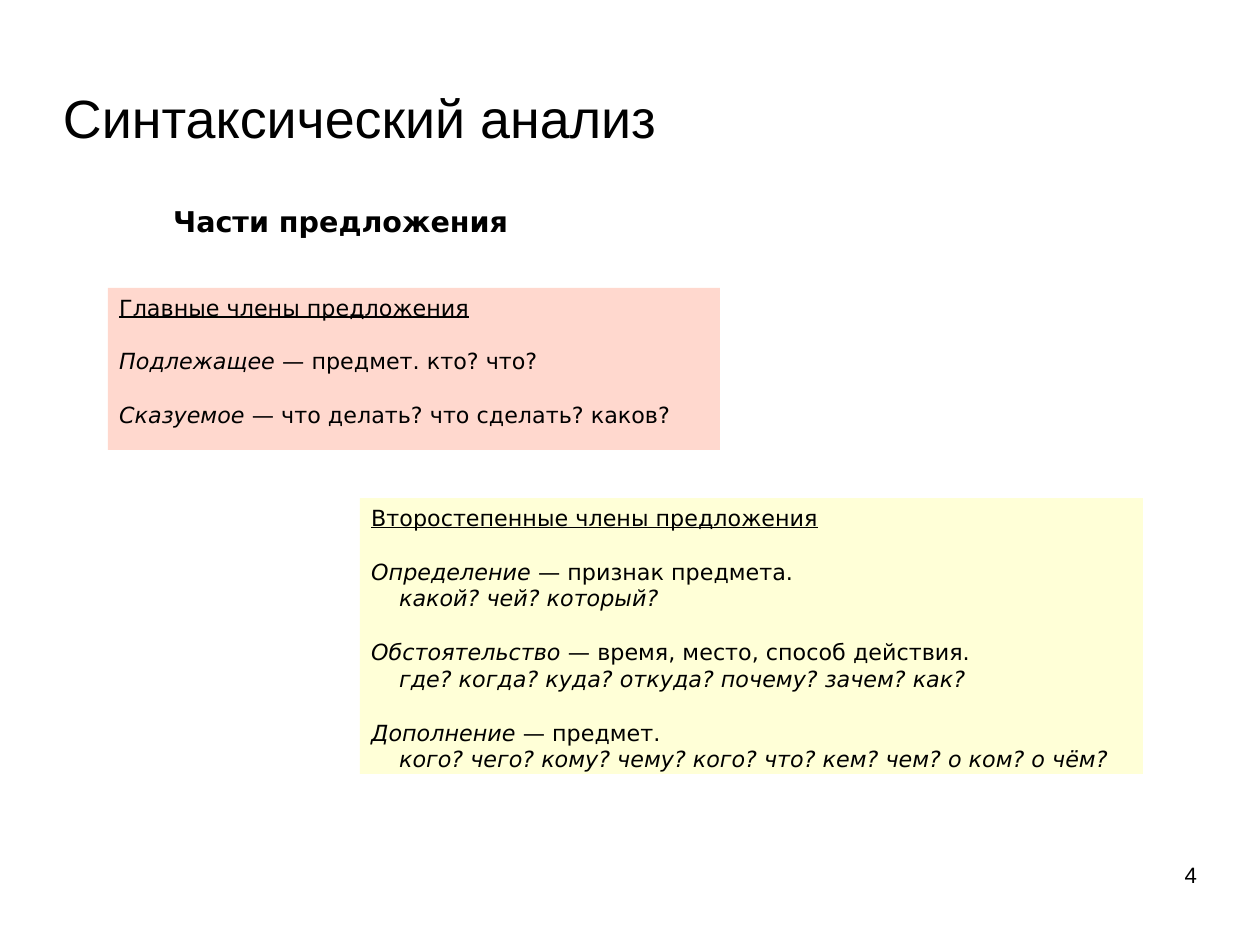
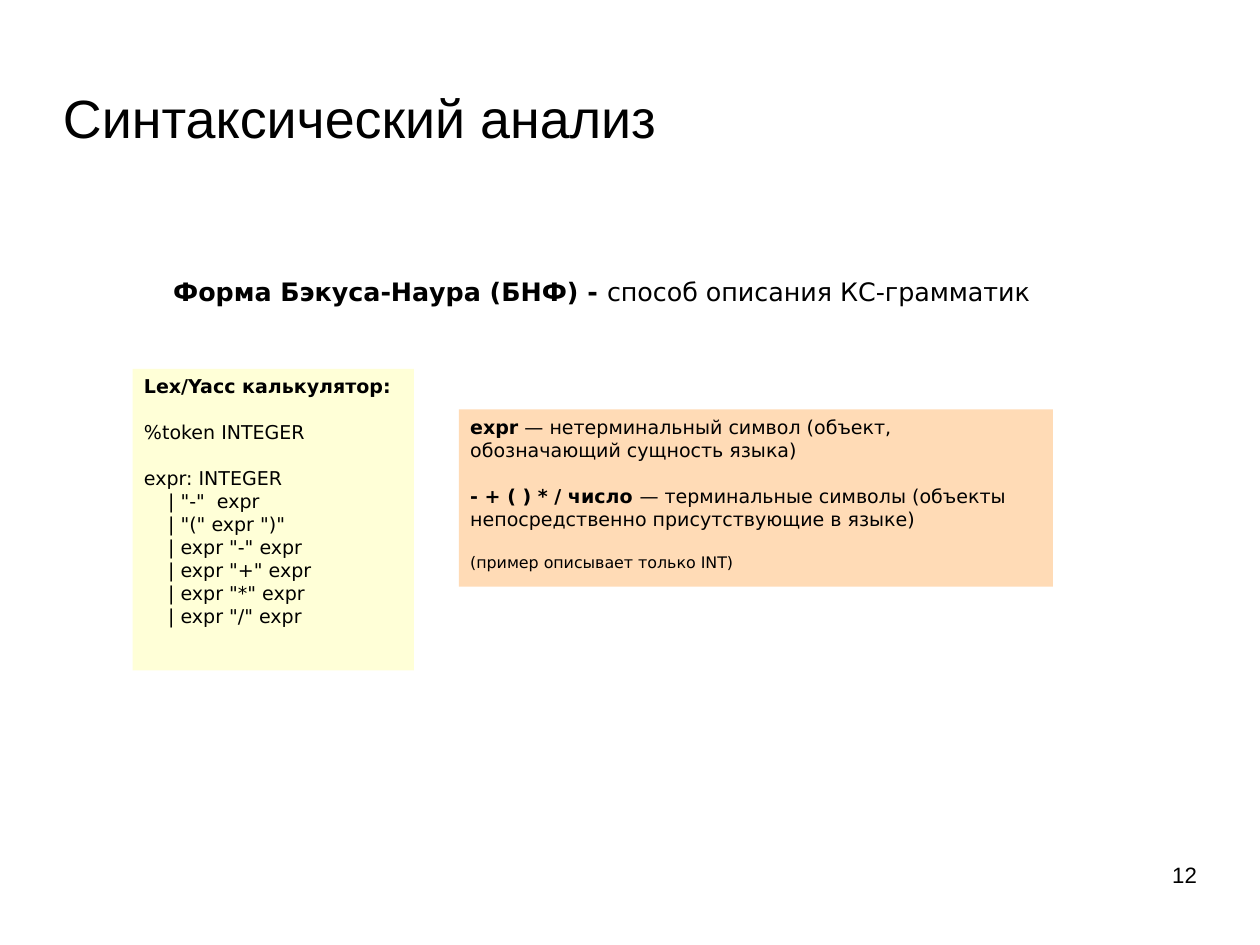
from dataclasses import dataclass

from pptx import Presentation
from pptx.dml.color import RGBColor
from pptx.enum.shapes import MSO_SHAPE as Shape
from pptx.enum.text import MSO_ANCHOR as Anchor, PP_ALIGN as Align
from pptx.util import Cm, Pt


@dataclass(frozen=True)
class Theme:
    ink: str = "000000"
    rose: str = "FFD8CE"
    cream: str = "FFFFD7"
    peach: str = "FFDBB6"
    title_font: str = "Arial"
    body_font: str = "DejaVu Sans"
    title_size: float = 33.9
    heading_size: float = 18
    subheading_size: float = 16
    text_size: float = 14
    small_size: float = 12
    note_size: float = 10
    gap: float = 1.22
    indent: float = 0.62


THEME = Theme()
TITLE = "Синтаксический анализ"
TITLE_AREA = (1.4, 1.93, 15.4, 1.35)
NUMBER_AREA = (20.07, 19.13, 6.53, 1.45)


def line(*spans, **options):
    return {"spans": spans, **options}


def term(name, meaning):
    return line((name, "i"), (" — " + meaning, ""), gap=True)


def questions(text):
    return line((text, "i"), indent=True)


SLIDES = [
    {
        "number": "4",
        "blocks": [
            {
                "area": (3.6, 4.4, 7.95, 1.73),
                "size": THEME.heading_size,
                "lines": [line(("Части предложения", "b"))],
            },
            {
                "area": (2.4, 6.4, 13.6, 3.6),
                "size": THEME.text_size,
                "fill": THEME.rose,
                "lines": [
                    line(("Главные члены предложения", "u")),
                    term("Подлежащее", "предмет. кто? что?"),
                    term("Сказуемое", "что делать? что сделать? каков?"),
                ],
            },
            {
                "area": (8, 11.07, 17.4, 6.13),
                "size": THEME.text_size,
                "fill": THEME.cream,
                "lines": [
                    line(("Второстепенные члены предложения", "u")),
                    term("Определение", "признак предмета."),
                    questions("какой? чей? который?"),
                    term("Обстоятельство", "время, место, способ действия."),
                    questions("где? когда? куда? откуда? почему? зачем? как?"),
                    term("Дополнение", "предмет."),
                    questions("кого? чего? кому? чему? кого? что? кем? чем? о ком? о чём?"),
                ],
            },
        ],
    },
    {
        "number": "12",
        "blocks": [
            {
                "area": (3.6, 6, 20, 3.4),
                "size": THEME.subheading_size,
                "lines": [
                    line(("Форма Бэкуса-Наура (БНФ) - ", "b"),
                         ("способ описания КС-грамматик", "")),
                ],
            },
            {
                "area": (2.95, 8.2, 6.25, 6.7),
                "size": THEME.small_size,
                "fill": THEME.cream,
                "lines": [
                    line(("Lex/Yacc калькулятор:", "b")),
                    line(("%token INTEGER", ""), gap=True),
                    line(("expr: INTEGER", ""), gap=True),
                    line(('    | "-"  expr', "")),
                    line(('    | "(" expr ")"', "")),
                    *(line((f'    | expr "{sign}" expr', "")) for sign in "-+*/"),
                ],
            },
            {
                "area": (10.2, 9.1, 13.2, 3.94),
                "size": THEME.small_size,
                "fill": THEME.peach,
                "lines": [
                    line(("expr", "b"),
                         (" — нетерминальный символ (объект, обозначающий сущность языка)", "")),
                    line(("- + ( ) * / число ", "b"),
                         ("— терминальные символы (объекты непосредственно присутствующие в языке)", ""),
                         gap=True),
                    line(("(пример описывает только INT)", ""), gap=True, size=THEME.note_size),
                ],
            },
        ],
    },
]


def write(frame, lines, size, font=THEME.body_font, align=Align.LEFT,
          anchor=Anchor.TOP, margins=(0.25, 0.13)):
    frame.word_wrap = True
    frame.vertical_anchor = anchor
    frame.margin_left = frame.margin_right = Cm(margins[0])
    frame.margin_top = frame.margin_bottom = Cm(margins[1])
    for index, entry in enumerate(lines):
        para = frame.add_paragraph() if index else frame.paragraphs[0]
        para.alignment = align
        para.space_before = Pt(round(size * THEME.gap, 1) if entry.get("gap") else 0)
        if entry.get("indent"):
            para._p.get_or_add_pPr().set("marL", str(Cm(THEME.indent)))
        for text, style in entry["spans"]:
            span = para.add_run()
            span.text = text
            span.font.name = font
            span.font.size = Pt(entry.get("size", size))
            span.font.color.rgb = RGBColor.from_string(THEME.ink)
            span.font.bold = "b" in style
            span.font.italic = "i" in style
            span.font.underline = "u" in style


def add_block(page, area, lines, size, fill=None, **style):
    place = [Cm(length) for length in area]
    if fill:
        box = page.shapes.add_shape(Shape.RECTANGLE, *place)
        box.shadow.inherit = False
        box.fill.solid()
        box.fill.fore_color.rgb = RGBColor.from_string(fill)
        box.line.fill.background()
    else:
        box = page.shapes.add_textbox(*place)
    write(box.text_frame, lines, size, **style)


def add_page(deck, layout, number, blocks):
    page = deck.slides.add_slide(layout)
    write(page.shapes.title.text_frame, [line((TITLE, ""))], THEME.title_size,
          font=THEME.title_font, anchor=Anchor.MIDDLE, margins=(0, 0))
    for block in blocks:
        add_block(page, **block)
    add_block(page, NUMBER_AREA, [line((number, ""))], THEME.text_size,
              font=THEME.title_font, align=Align.RIGHT, margins=(0, 0))


def main():
    deck = Presentation()
    deck.slide_width, deck.slide_height = Cm(28), Cm(21)
    layout = deck.slide_layouts.get_by_name("Title Only")
    title = layout.placeholders[0]
    title.left, title.top, title.width, title.height = (Cm(length) for length in TITLE_AREA)
    for content in SLIDES:
        add_page(deck, layout, **content)
    deck.save("out.pptx")


if __name__ == "__main__":
    main()
